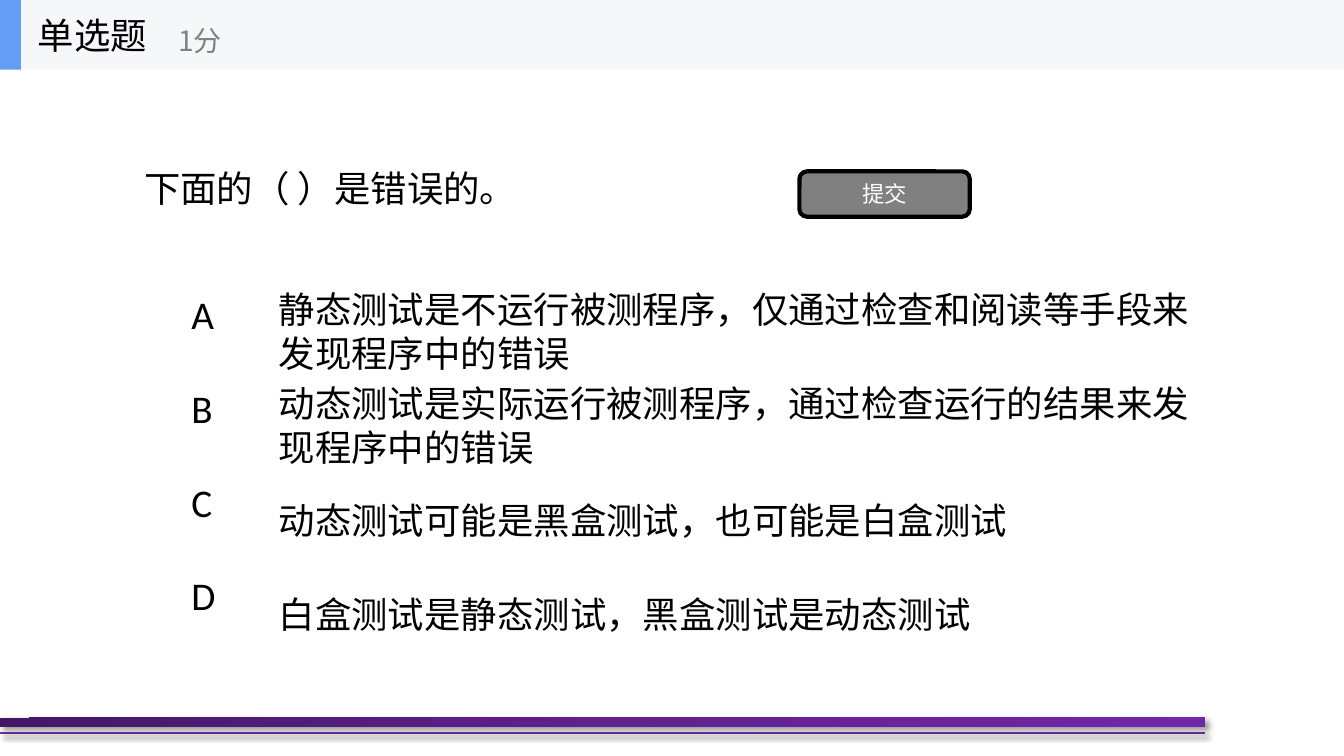
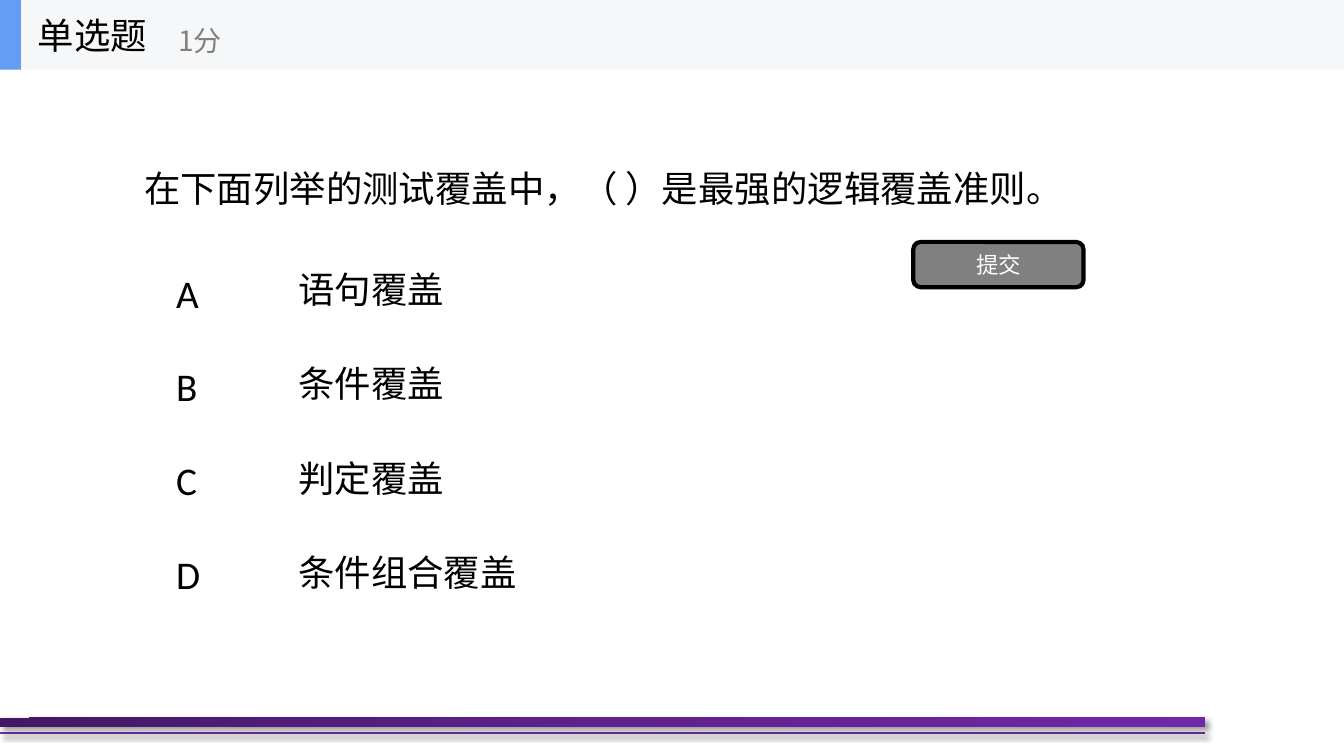
"""Build two single-choice quiz slides with a shared header and footer."""
from pptx import Presentation
from pptx.dml.color import RGBColor
from pptx.enum.shapes import MSO_CONNECTOR as Line, MSO_SHAPE as Kind
from pptx.enum.text import MSO_ANCHOR as Anchor, PP_ALIGN as Align
from pptx.oxml import parse_xml
from pptx.oxml.ns import nsdecls
from pptx.util import Pt
from lxml.etree import SubElement

HUES = {
    "ink": "000000", "white": "FFFFFF", "gray": "808080", "band": "F6F7F8",
    "blue": "639EF4", "rule": "7030A0",
}
FADE = [(0, "431764"), (50, "5F218E"), (100, "7128A8")]
HAN, LATIN = "Noto Sans CJK SC", "Calibri"
WIDE, HIGH, HEAD = 960, 540, 49.7
FOOT = 860.4
PITCH, ROW = 67.5, 50.4

QUIZ = [
    {
        "ask": "下面的（ ）是错误的。",
        "picks": [
            "静态测试是不运行被测程序，仅通过检查和阅读等手段来发现程序中的错误",
            "动态测试是实际运行被测程序，通过检查运行的结果来发现程序中的错误",
            "动态测试可能是黑盒测试，也可能是白盒测试",
            "白盒测试是静态测试，黑盒测试是动态测试",
        ],
        "start": (192, 211), "marks": (129.6, 203.8), "button": (571, 122.4),
    },
    {
        "ask": "在下面列举的测试覆盖中，（ ）是最强的逻辑覆盖准则。",
        "picks": ["语句覆盖", "条件覆盖", "判定覆盖", "条件组合覆盖"],
        "start": (206, 181), "marks": (118.8, 188.6), "button": (652.3, 172.8),
    },
]


def rgb(hue):
    return RGBColor.from_string(HUES[hue])


def write(para, text, size, hue="ink", face=HAN):
    run = para.add_run()
    run.text = text
    font = run.font
    font.size = Pt(size)
    font.color.rgb = rgb(hue)
    font.name = face
    run._r.get_or_add_rPr().append(
        parse_xml(f'<a:ea {nsdecls("a")} typeface="{face}"/>'))


def label(shapes, box, lines, size, hue="ink", face=HAN,
          anchor=Anchor.MIDDLE, gap=0, lead=None):
    frame = shapes.add_textbox(*map(Pt, box)).text_frame
    frame.word_wrap = True
    frame.vertical_anchor = anchor
    for i, line in enumerate(lines):
        para = frame.add_paragraph() if i else frame.paragraphs[0]
        if i:
            para.space_before = Pt(gap)
        if lead:
            para.line_spacing = Pt(lead)
        write(para, line, size, hue, face)


def block(shapes, box, hue=None, kind=Kind.RECTANGLE):
    shape = shapes.add_shape(kind, *map(Pt, box))
    shape.shadow.inherit = False
    shape.line.fill.background()
    if hue:
        shape.fill.solid()
        shape.fill.fore_color.rgb = rgb(hue)
    return shape


def shade(shape):
    props = shape.element.spPr
    for old in props.findall("{*}effectLst"):
        props.remove(old)
    props.append(parse_xml(
        f'<a:effectLst {nsdecls("a")}><a:outerShdw blurRad="{Pt(4)}" '
        f'dist="{Pt(3)}" dir="2700000" algn="tl" rotWithShape="0">'
        f'<a:srgbClr val="{HUES["ink"]}"><a:alpha val="40000"/></a:srgbClr>'
        '</a:outerShdw></a:effectLst>'))


def footer(shapes):
    rule = shapes.add_connector(
        Line.STRAIGHT, *map(Pt, (0, 523.4, FOOT, 523.4)))
    rule.line.color.rgb = rgb("rule")
    rule.line.width = Pt(1.5)
    shade(rule)
    bar = block(shapes, (0, 512.6, FOOT, 6.5))
    bar.fill.gradient()
    stops = bar.element.spPr.find("{*}gradFill/{*}gsLst")
    tag = stops[0].tag
    for old in list(stops):
        stops.remove(old)
    for pos, tone in FADE:
        stop = SubElement(stops, tag, pos=str(pos * 1000))
        stop.append(parse_xml(f'<a:srgbClr {nsdecls("a")} val="{tone}"/>'))
    bar.fill.gradient_angle = 315
    shade(bar)


def header(shapes):
    group = shapes.add_group_shape().shapes
    block(group, (0, 0, WIDE, HEAD), "band")
    block(group, (0, 0, 15, HEAD), "blue")
    label(group, (20, 0, 150, HEAD), ["单选题"], 26)
    label(group, (120.2, 8.6, 180, 40.3), ["1分"], 20, "gray")


def submit(shapes, spot):
    shape = block(shapes, (*spot, 121.7, 32.4), "gray", Kind.ROUNDED_RECTANGLE)
    shape.line.color.rgb = rgb("ink")
    shape.line.width = Pt(3)
    frame = shape.text_frame
    frame.vertical_anchor = Anchor.MIDDLE
    para = frame.paragraphs[0]
    para.alignment = Align.CENTER
    write(para, "提交", 16, "white")


def build(shapes, quiz):
    footer(shapes)
    label(shapes, (95.8, HEAD, 768, 168.5), [quiz["ask"]], 26)
    left, top = quiz["start"]
    for i, pick in enumerate(quiz["picks"]):
        label(shapes, (left, top + i * PITCH, 672, ROW), [pick], 26, lead=31.4)
    submit(shapes, quiz["button"])
    header(shapes)
    label(shapes, (*quiz["marks"], 31.7, 244.8), "ABCD", 28, face=LATIN,
          anchor=Anchor.TOP, gap=33.4)


def main():
    deck = Presentation()
    deck.slide_width, deck.slide_height = Pt(WIDE), Pt(HIGH)
    for quiz in QUIZ:
        build(deck.slides.add_slide(deck.slide_layouts[6]).shapes, quiz)
    deck.save("out.pptx")


if __name__ == "__main__":
    main()
